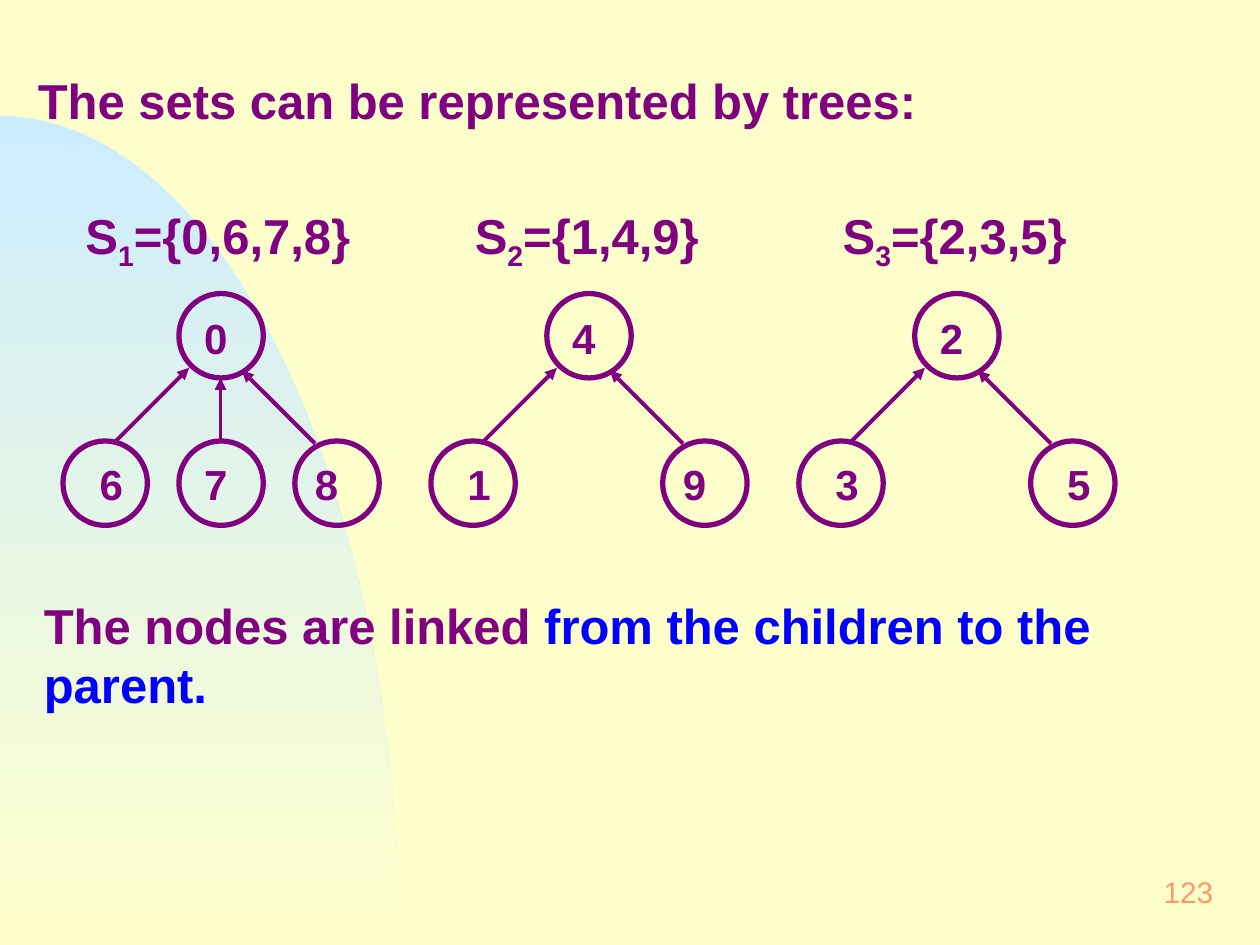
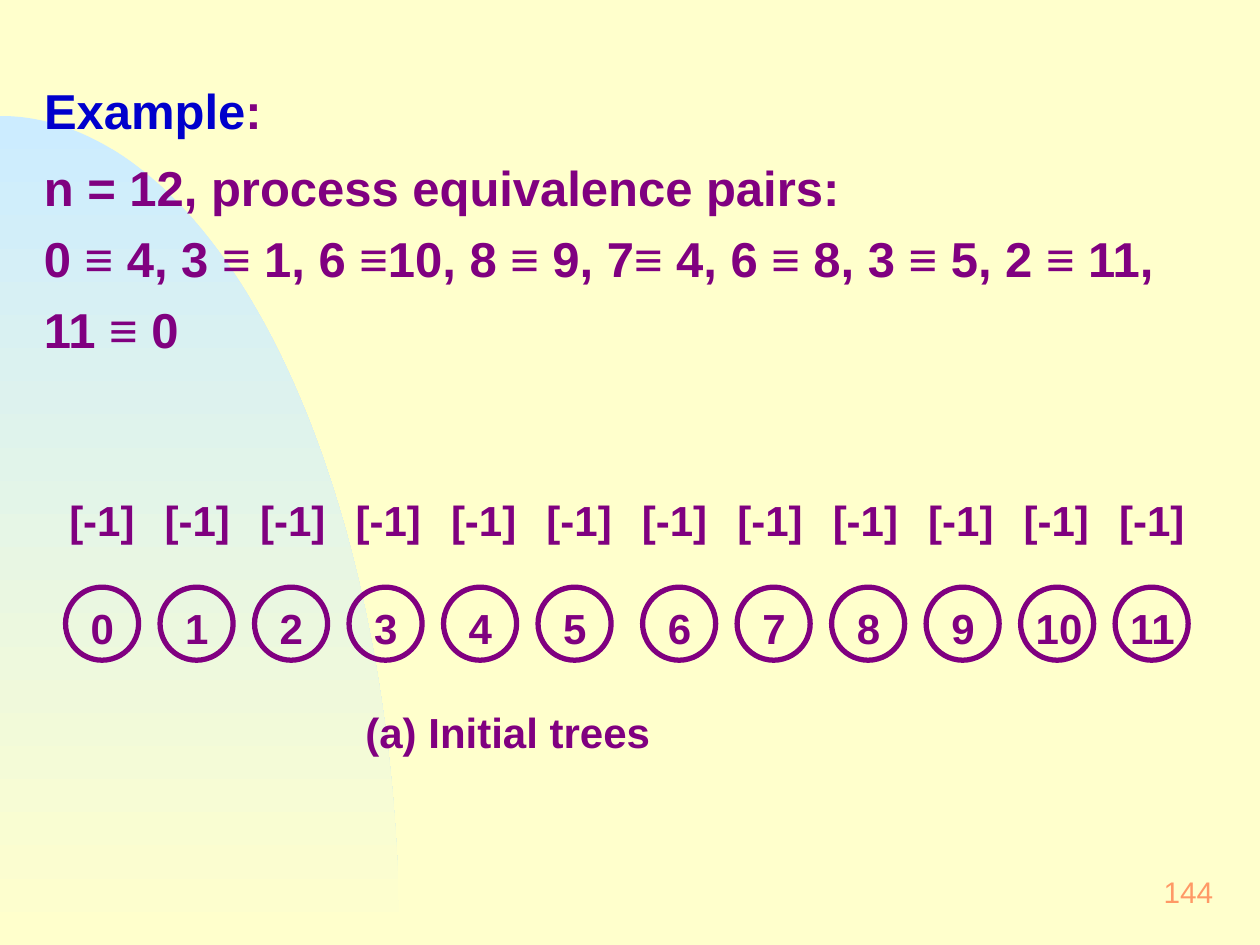
from math import cos, pi, sin

from lxml import etree
from pptx import Presentation
from pptx.dml.color import RGBColor
from pptx.enum.shapes import MSO_CONNECTOR, MSO_SHAPE
from pptx.enum.text import MSO_ANCHOR, MSO_AUTO_SIZE, PP_ALIGN
from pptx.oxml.ns import qn
from pptx.util import Inches, Pt

CREAM = RGBColor(0xFF, 0xFF, 0xCC)
SKY = RGBColor(0xCC, 0xEC, 0xFF)
PURPLE = RGBColor(0x80, 0x00, 0x80)
BLUE = RGBColor(0x00, 0x00, 0xFF)
NAVY = RGBColor(0x00, 0x00, 0xCC)
ORANGE = RGBColor(0xFF, 0x99, 0x66)
FONT = "Arial"
PLAIN_GRID = "{2D5ABB26-0587-4C30-8999-92F81FD0307C}"


def style(par, size=28, color=PURPLE, bold=True, align=PP_ALIGN.LEFT):
    """Format a whole paragraph."""
    par.alignment = align
    font = par.font
    font.name, font.size, font.bold = FONT, Pt(size), bold
    font.color.rgb = color


def frame(shape, pad=0.1, wrap=True, anchor=MSO_ANCHOR.TOP):
    """Set the margins, wrapping and anchor of a shape's text."""
    text = shape.text_frame
    text.auto_size = MSO_AUTO_SIZE.NONE
    text.word_wrap = wrap
    text.vertical_anchor = anchor
    text.margin_left = text.margin_right = Inches(pad)
    text.margin_top = text.margin_bottom = Inches(pad / 2)
    return text


def write(slide, box, words="", size=28, pad=0.1, wrap=True):
    """Add a text box and return its first paragraph."""
    shape = slide.shapes.add_textbox(*map(Inches, box))
    par = frame(shape, pad, wrap).paragraphs[0]
    par.text = words
    style(par, size)
    return par


def tint(par, words, color):
    """Add a run in its own colour."""
    run = par.add_run()
    run.text = words
    run.font.color.rgb = color


def arc(slide, width=3.17, top=0.92, base=7.5, steps=90):
    """Draw the faded quarter ellipse behind the title."""
    turns = [pi / 2 * step / steps for step in range(steps + 1)]
    rim = [(width * sin(turn), base - (base - top) * cos(turn)) for turn in turns]
    form = slide.shapes.build_freeform(0, Inches(base), scale=1)
    form.add_line_segments([(Inches(x), Inches(y)) for x, y in rim])
    band = form.convert_to_shape()
    band.shadow.inherit = False
    band.line.fill.background()
    band.fill.gradient()
    band.fill.gradient_angle = 270
    for stop, color in zip(band.fill.gradient_stops, (SKY, CREAM)):
        stop.color.rgb = color
    slide.shapes.title.element.addprevious(band.element)


def start(deck, number, box):
    """Add a slide with its band and number, and return it with its title paragraph."""
    slide = deck.slides.add_slide(deck.slide_layouts[5])
    title = slide.shapes.title
    title.left, title.top, title.width, title.height = map(Inches, box)
    par = frame(title).paragraphs[0]
    style(par)
    arc(slide)
    shape = slide.shapes.add_textbox(*map(Inches, (7.67, 6.83, 2.08, 0.5)))
    mark = frame(shape, 0.12, anchor=MSO_ANCHOR.MIDDLE).paragraphs[0]
    mark.text = str(number)
    style(mark, 17, ORANGE, False, PP_ALIGN.RIGHT)
    return slide, par


def node(slide, left, top, size, label, shift=(0.08, 0.08)):
    """Draw a ring with its label shifted from the ring's corner."""
    ring = slide.shapes.add_shape(
        MSO_SHAPE.OVAL, *map(Inches, (left, top, size, size)))
    ring.shadow.inherit = False
    ring.fill.background()
    ring.line.color.rgb = PURPLE
    ring.line.width = Pt(3)
    box = (left + shift[0], top + shift[1], size, 0.52)
    write(slide, box, label, 24, 0.12, False)


def arrow(slide, tail, head):
    """Draw an arrow from a child to its parent."""
    line = slide.shapes.add_connector(
        MSO_CONNECTOR.STRAIGHT, *map(Inches, (*tail, *head)))
    line.line.color.rgb = PURPLE
    line.line.width = Pt(2.25)
    etree.SubElement(line.line._get_or_add_ln(), qn("a:tailEnd"), type="triangle")
    etree.SubElement(line.element.spPr, qn("a:effectLst"))


def tree(slide, left, top, index, items, root, kids, indent):
    """Draw a set's name above its tree; kids hold place, label and label shift."""
    par = write(slide, (left + indent, top, 2.5, 0.63))
    for words in ("S", index, "={" + items + "}"):
        run = par.add_run()
        run.text = words
        if words == index:
            run._r.get_or_add_rPr().set("baseline", "-25000")
    node(slide, left + 0.92, top + 0.75, 0.67, root, (0.08, 0.09))
    links = (((0.42, 1.92), (1, 1.34)),
             ((1.25, 1.92), (1.25, 1.42)),
             ((2, 1.94), (1.42, 1.36)))
    for place, label, shift in kids:
        node(slide, left + 0.92 * place, top + 1.92, 0.67, label, (shift, 0.08))
        arrow(slide, *[(left + x, top + y) for x, y in links[place]])


def sets(deck):
    """Build the slide of sets as trees."""
    slide, par = start(deck, 123, (0.2, 0.51, 9.58, 0.57))
    par.text = "The sets can be represented by trees:"
    trees = (
        ("1", "0,6,7,8", "0", ((0, "6", 0.17), (1, "7", 0.08), (2, "8", 0.04)), 0.08),
        ("2", "1,4,9", "4", ((0, "1", 0.17), (2, "9", 0.04)), 0.25),
        ("3", "2,3,5", "2", ((0, "3", 0.17), (2, "5", 0.17)), 0.25),
    )
    for spot, parts in enumerate(trees):
        tree(slide, 0.5 + 2.92 * spot, 1.58, *parts)
    note = write(slide, (0.25, 4.68, 9.58, 1.04))
    tint(note, "The nodes are linked ", PURPLE)
    tint(note, "from the children to the parent.", BLUE)


def ranks(slide, left, top, width, count):
    """Add the row of starting parent values."""
    shape = slide.shapes.add_table(
        1, count, *map(Inches, (left, top, width, 0.5)))
    table = shape.table
    table.first_row = table.horz_banding = False
    next(shape.element.iter(qn("a:tableStyleId"))).text = PLAIN_GRID
    for cell in table.iter_cells():
        cell.fill.background()
        par = cell.text_frame.paragraphs[0]
        par.text = "[-1]"
        style(par, 24, align=PP_ALIGN.CENTER)


def roots(slide, left, top, count, step=0.75, gap=0.08):
    """Draw the single nodes in two groups of equal size."""
    for spot in range(count):
        extra = gap if spot >= count // 2 else 0
        shift = 0.08 if spot < 10 else 0
        node(slide, left + step * spot + extra, top, 0.58, str(spot), (shift, 0.06))


def pairs(deck):
    """Build the slide of equivalence pairs."""
    slide, par = start(deck, 144, (0.25, 0.59, 9.58, 0.57))
    tint(par, "Example", NAVY)
    tint(par, ":", PURPLE)
    first = write(slide, (0.25, 1.2, 9.58, 2.17), "n = 12, process equivalence pairs:")
    text = first._parent
    for words in ("0 ≡ 4, 3 ≡ 1, 6 ≡10, 8 ≡ 9, 7≡ 4, 6 ≡ 8, 3 ≡ 5, 2 ≡ 11,", "11 ≡ 0"):
        line = text.add_paragraph()
        line.text = words
        line.space_before = Pt(7)
        style(line)
    ranks(slide, 0.43, 3.91, 9.09, 12)
    roots(slide, 0.52, 4.66, 12)
    write(slide, (2.78, 5.55, 4.25, 0.52), "(a) Initial trees", 24, 0.12)


def main():
    """Build and save the deck."""
    deck = Presentation()
    deck.slide_width, deck.slide_height = Inches(10), Inches(7.5)
    back = deck.slide_master.background.fill
    back.solid()
    back.fore_color.rgb = CREAM
    sets(deck)
    pairs(deck)
    deck.save("out.pptx")


if __name__ == "__main__":
    main()
